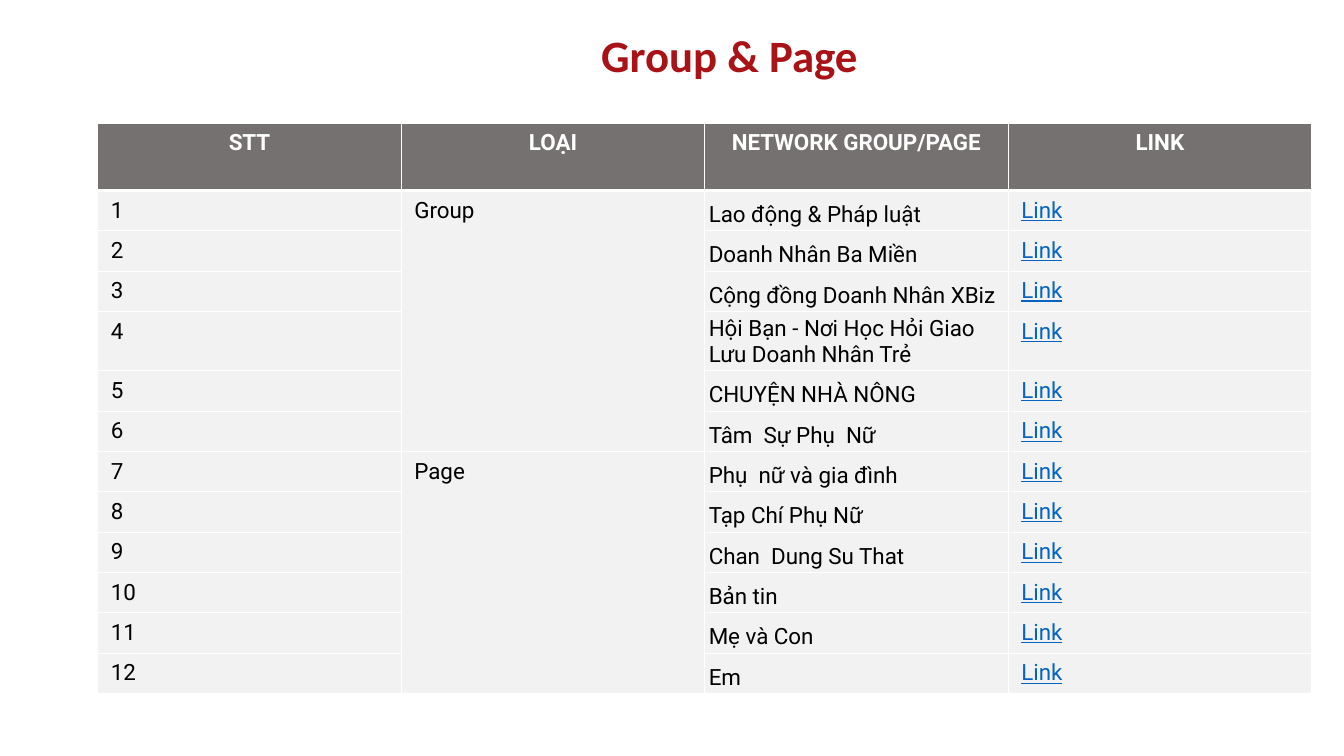
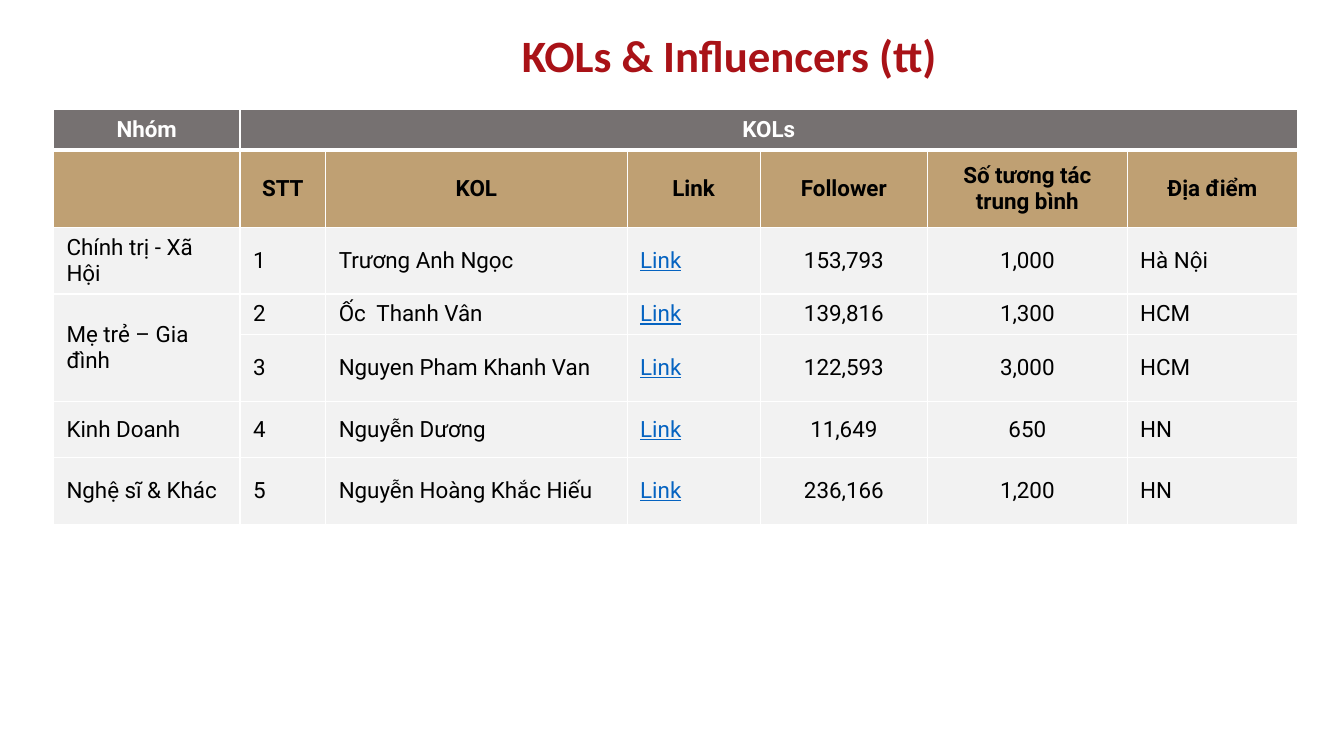
from lxml import etree
from pptx import Presentation
from pptx.dml.color import RGBColor
from pptx.enum import text as t
from pptx.oxml import ns
from pptx.util import Inches, Pt

RED = RGBColor(0xA9, 0x12, 0x17)
GREY = RGBColor(0x76, 0x71, 0x71)
GOLD = RGBColor(0xBF, 0xA0, 0x73)
PALE = RGBColor(0xF2, 0xF2, 0xF2)
WHITE = RGBColor(0xFF, 0xFF, 0xFF)
BLACK = RGBColor(0, 0, 0)
BLUE = RGBColor(0x05, 0x63, 0xC1)

LEFT, CENTER = t.PP_ALIGN.LEFT, t.PP_ALIGN.CENTER
TOP, MIDDLE, BOTTOM = t.MSO_ANCHOR.TOP, t.MSO_ANCHOR.MIDDLE, t.MSO_ANCHOR.BOTTOM
WIDE, TIGHT = (0.13, 0.07), (0.04, 0.03)

GROUPS = [
    "Lao động & Pháp luật",
    "Doanh Nhân Ba Miền",
    "Cộng đồng Doanh Nhân XBiz",
    "Hội Bạn - Nơi Học Hỏi Giao Lưu Doanh Nhân Trẻ",
    "CHUYỆN NHÀ NÔNG",
    "Tâm  Sự Phụ  Nữ",
]
PAGES = [
    "Phụ  nữ và gia đình",
    "Tạp Chí Phụ Nữ",
    "Chan  Dung Su That",
    "Bản tin",
    "Mẹ và Con",
    "Em",
]
KOLS = [
    ("Chính trị - Xã Hội", "1", "Trương Anh Ngọc", "Link", "153,793", "1,000", "Hà Nội"),
    ("Mẹ trẻ – Gia đình", "2", "Ốc  Thanh Vân", "Link", "139,816", "1,300", "HCM"),
    ("", "3", "Nguyen Pham Khanh Van", "Link", "122,593", "3,000", "HCM"),
    ("Kinh Doanh", "4", "Nguyễn Dương", "Link", "11,649", "650", "HN"),
    ("Nghệ sĩ & Khác", "5", "Nguyễn Hoàng Khắc Hiếu", "Link", "236,166", "1,200", "HN"),
]

community_rows = [("STT", "LOẠI", "NETWORK GROUP/PAGE", "LINK")]
for kind, names in (("Group", GROUPS), ("Page", PAGES)):
    for index, name in enumerate(names):
        number = str(len(community_rows))
        community_rows.append((number, "" if index else kind, name, "Link"))

# Merges are (first row, first column, last row, last column).
TABLES = [
    dict(
        title="Group & Page",
        at=(0.97, 1.22),
        widths=[3.01] * 4,
        heights=[0.67] + [0.4] * 3 + [0.59] + [0.4] * 8,
        rows=community_rows,
        merges=[(1, 1, 6, 1), (7, 1, 12, 1)],
        anchor=TOP,
        tight_columns={2},
    ),
    dict(
        title="KOLs & Influencers (tt)",
        at=(0.53, 1.09),
        widths=[1.85, 0.85, 2.99, 1.32, 1.66, 1.98, 1.69],
        heights=[0.4, 0.77, 0.55, 0.4, 0.67, 0.55, 0.67],
        rows=[
            ("Nhóm", "KOLs", "", "", "", "", ""),
            ("", "STT", "KOL", "Link", "Follower", "Số tương tác trung bình", "Địa điểm"),
            *KOLS,
        ],
        merges=[(0, 1, 0, 6), (3, 0, 4, 0)],
        anchor=MIDDLE,
        subheader_row=1,
        centered_columns={4, 5},
    ),
]


def write(frame, content, *, size=16, font="Roboto", color=BLACK, bold=False,
          underline=False, align=LEFT):
    para = frame.paragraphs[0]
    para.text = content
    para.alignment = align
    spans = para.runs or [para]
    for span in spans:
        span.font.name = font
        span.font.size = Pt(size)
        span.font.bold = bold
        span.font.underline = underline
        span.font.color.rgb = color


def set_insets(target, across, down):
    target.margin_left = target.margin_right = Inches(across)
    target.margin_top = target.margin_bottom = Inches(down)


def set_borders(cell, top, bottom):
    """Draw white borders, 1 pt at the sides; they precede the fill in the XML."""
    properties = cell._tc.get_or_add_tcPr()
    widths = {"lnL": 1, "lnR": 1, "lnT": top, "lnB": bottom}
    for index, (tag, width) in enumerate(widths.items()):
        line = etree.Element(ns.qn(f"a:{tag}"), w=str(Pt(width)))
        fill = etree.SubElement(line, ns.qn("a:solidFill"))
        etree.SubElement(fill, ns.qn("a:srgbClr"), val=str(WHITE))
        properties.insert(index, line)


def add_title(page, content):
    frame = page.shapes.title.text_frame
    frame.word_wrap = True
    frame.auto_size = t.MSO_AUTO_SIZE.NONE
    frame.vertical_anchor = MIDDLE
    set_insets(frame, 0.03, 0.03)
    write(frame, content, size=32, font="Calibri", color=RED, bold=True, align=CENTER)


def add_table(page, at, widths, heights, rows, merges, anchor, subheader_row=None,
              tight_columns=(), centered_columns=()):
    left, top = at
    table = page.shapes.add_table(
        len(rows), len(widths), Inches(left), Inches(top),
        Inches(sum(widths)), Inches(sum(heights))).table
    for column, width in zip(table.columns, widths):
        column.width = Inches(width)
    for row, height in zip(table.rows, heights):
        row.height = Inches(height)

    for r, row in enumerate(rows):
        for c, content in enumerate(row):
            cell = table.cell(r, c)
            header, subheader = r == 0, r == subheader_row
            heading = header or subheader
            tight = c in tight_columns and not heading
            link = content == "Link" and not heading
            set_insets(cell, *(TIGHT if tight else WIDE))
            cell.vertical_anchor = BOTTOM if tight else anchor
            cell.fill.solid()
            cell.fill.fore_color.rgb = GREY if header else GOLD if subheader else PALE
            set_borders(cell, top=3 if r == 1 else 1, bottom=3 if header else 1)
            write(cell.text_frame, content, bold=heading, underline=link,
                  color=WHITE if header else BLUE if link else BLACK,
                  align=CENTER if heading or c in centered_columns else LEFT)

    for first_row, first_column, last_row, last_column in merges:
        table.cell(first_row, first_column).merge(table.cell(last_row, last_column))


def main():
    deck = Presentation()
    deck.slide_width, deck.slide_height = Inches(13.33), Inches(7.5)
    layout = deck.slide_layouts.get_by_name("Title Only")
    title = layout.placeholders[0]
    title.left, title.top = Inches(3.21), Inches(0.26)
    title.width, title.height = Inches(8.05), Inches(0.56)

    for entry in TABLES:
        page = deck.slides.add_slide(layout)
        add_table(page, **{key: value for key, value in entry.items() if key != "title"})
        add_title(page, entry["title"])
    deck.save("out.pptx")


if __name__ == "__main__":
    main()
